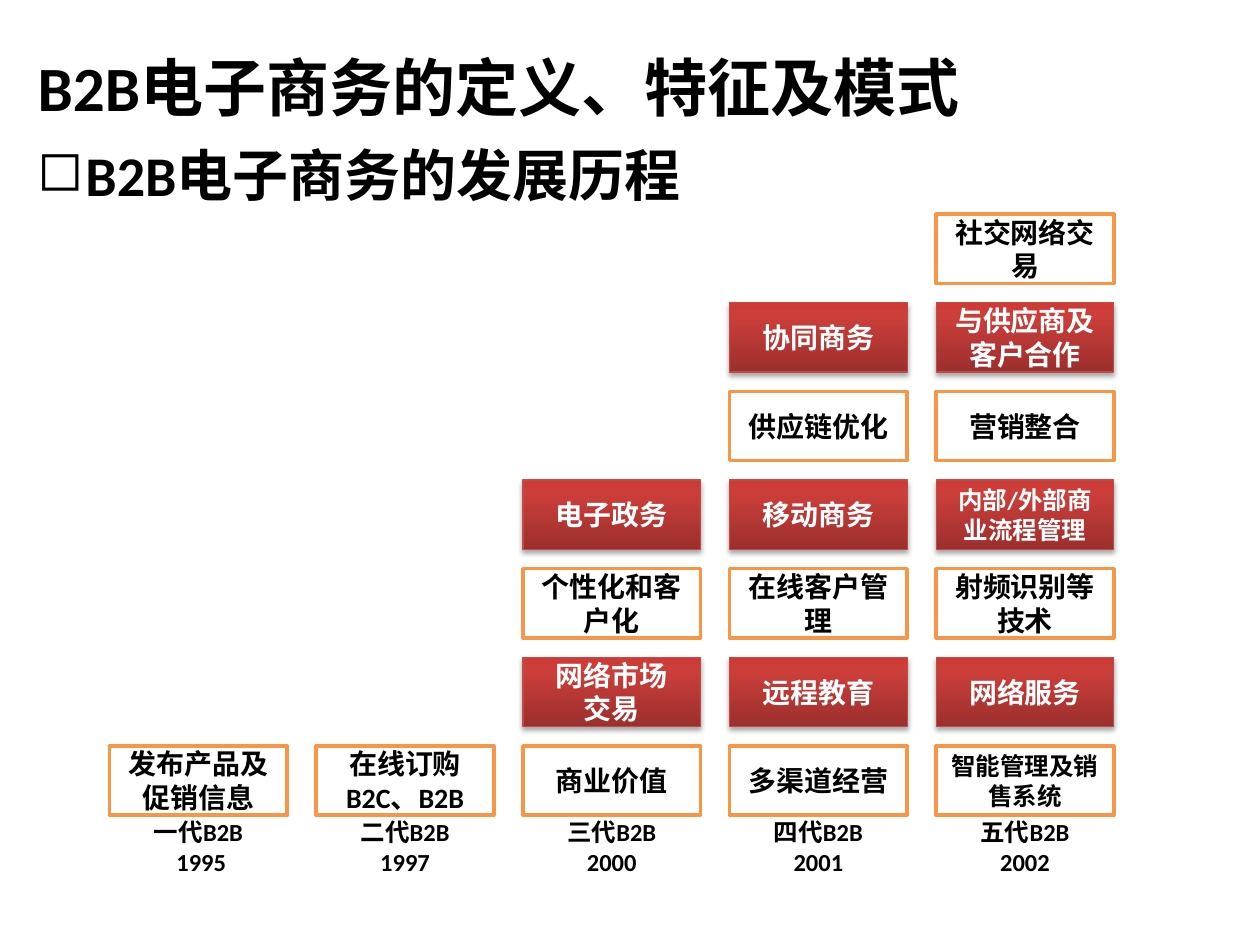
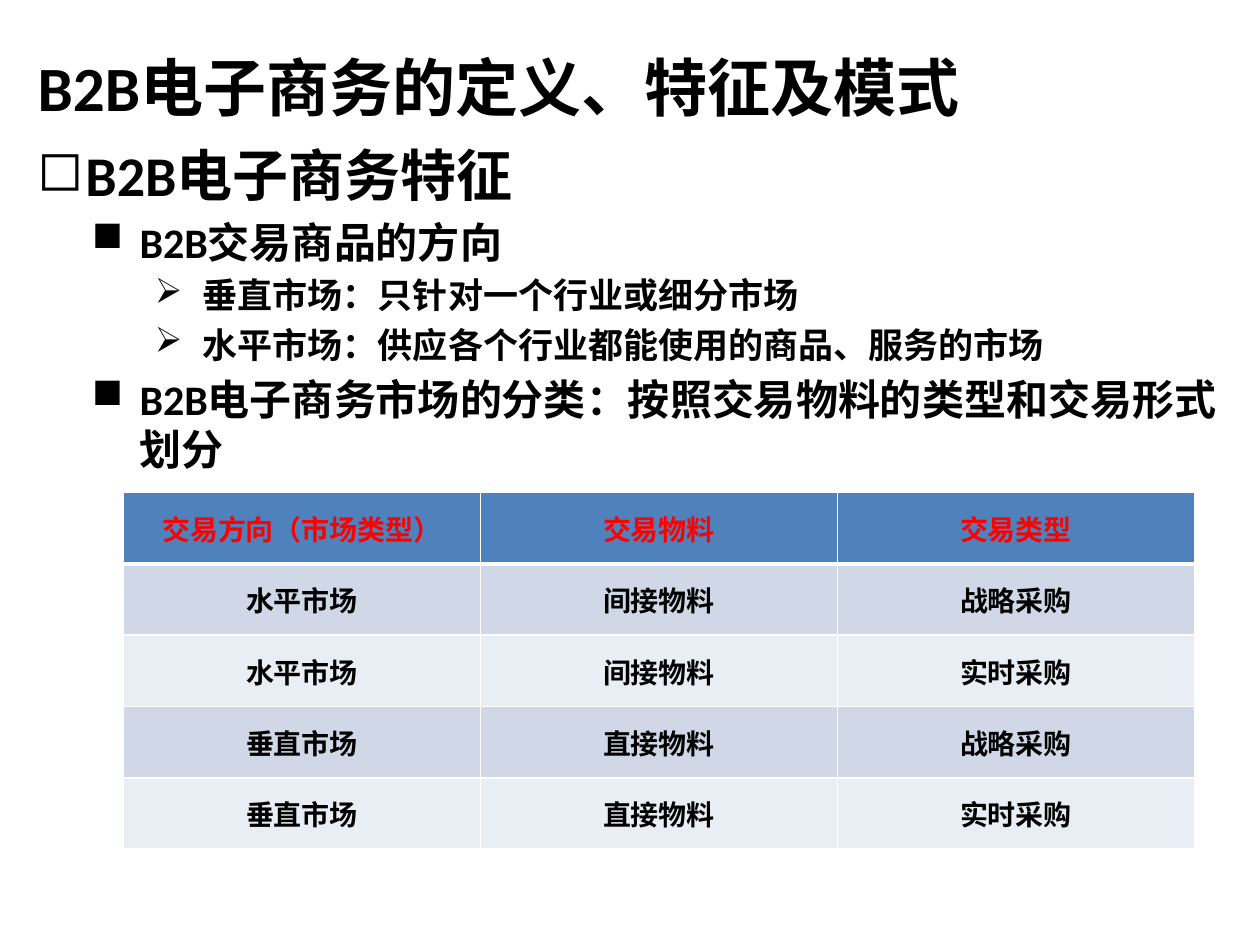
from pptx import Presentation
from pptx.dml.color import RGBColor
from pptx.enum import shapes, text
from pptx.oxml import parse_xml
from pptx.oxml.ns import nsdecls, qn
from pptx.util import Inches, Pt

# Content
TITLE = "B2B电子商务的定义、特征及模式"
HISTORY = [(1, "B2B电子商务的发展历程")]
FEATURES = [
    (1, "B2B电子商务特征"),
    (2, "B2B交易商品的方向"),
    (3, "垂直市场：只针对一个行业或细分市场"),
    (3, "水平市场：供应各个行业都能使用的商品、服务的市场"),
    (2, "B2B电子商务市场的分类：按照交易物料的类型和交易形式划分"),
]
# Each generation: its label lines, then its boxes from the bottom up
GENERATIONS = [
    (["一代B2B", " 1995"], ["发布产品及促销信息"]),
    (["二代B2B", "1997"], ["在线订购\nB2C、B2B"]),
    (["三代B2B", "2000"], ["商业价值", "网络市场\n交易", "个性化和客户化", "电子政务"]),
    (["四代B2B", "2001"], ["多渠道经营", "远程教育", "在线客户管理", "移动商务",
                         "供应链优化", "协同商务"]),
    (["五代B2B", "2002"], ["智能管理及销售系统", "网络服务", "射频识别等技术",
                         "内部/外部商业流程管理", "营销整合", "与供应商及客户合作",
                         "社交网络交易"]),
]
MARKETS = [
    ("交易方向（市场类型）", "交易物料", "交易类型"),
    ("水平市场", "间接物料", "战略采购"),
    ("水平市场", "间接物料", "实时采购"),
    ("垂直市场", "直接物料", "战略采购"),
    ("垂直市场", "直接物料", "实时采购"),
]

# Shared style
FONT = "Calibri"
BLACK, WHITE, RED = "000000", "FFFFFF", "FF0000"
ORANGE, BRICK = "F79646", "BF4C48"
HEADER, BANDS = "4F81BD", ("E9EDF4", "D0D8E8")
BRICK_STOPS = [(0, "9C2F2D"), (80, "CB3E3A"), (100, "CE3B37")]
# Outline level: size, indent in inches, bullet
LEVELS = {1: (32, 0.38, "◻"), 2: (24, 0.81, "■"), 3: (20, 1.31, "➢")}
HANGING = 0.38
MARGIN, CONTENT_WIDTH = 0.2, 9.61

# Staircase grid
FIRST_LEFT, COLUMN_STEP = 0.87, 1.64
BOTTOM_TOP, HIGHEST_TOP = 5.92, 1.7
ROW_STEP = (BOTTOM_TOP - HIGHEST_TOP) / 6
BOX_WIDTH, BOX_HEIGHT, LABEL_HEIGHT = 1.41, 0.55, 0.5
LONG_TEXT = 9


def color(value):
    return RGBColor.from_string(value)


def write(para, words, size, fill=BLACK):
    span = para.add_run()
    span.text = words
    span.font.name = FONT
    span.font.size = Pt(size)
    span.font.bold = True
    span.font.color.rgb = color(fill)


def write_centred(frame, lines, size, fill=BLACK):
    frame.word_wrap = True
    frame.vertical_anchor = text.MSO_ANCHOR.MIDDLE
    for index, line in enumerate(lines):
        para = frame.add_paragraph() if index else frame.paragraphs[0]
        para.alignment = text.PP_ALIGN.CENTER
        write(para, line, size, fill)


def add_text_box(page, top, height):
    box = page.shapes.add_textbox(Inches(MARGIN), Inches(top),
                                  Inches(CONTENT_WIDTH), Inches(height))
    box.text_frame.word_wrap = True
    return box.text_frame


def add_page(deck, outline, outline_height):
    page = deck.slides.add_slide(deck.slide_layouts[6])
    # Title
    frame = add_text_box(page, 0.3, 0.77)
    frame.vertical_anchor = text.MSO_ANCHOR.MIDDLE
    write(frame.paragraphs[0], TITLE, 36)
    # Bulleted outline
    frame = add_text_box(page, 1.07, outline_height)
    for index, (level, words) in enumerate(outline):
        para = frame.add_paragraph() if index else frame.paragraphs[0]
        size, indent, bullet = LEVELS[level]
        para.level = level - 1
        props = para._p.get_or_add_pPr()
        props.set("marL", str(Inches(indent)))
        props.set("indent", str(Inches(-HANGING)))
        props.append(parse_xml(f'<a:spcBef {nsdecls("a")}><a:spcPct val="20000"/></a:spcBef>'))
        props.append(parse_xml(f'<a:buChar {nsdecls("a")} char="{bullet}"/>'))
        write(para, words, size)
    return page


def paint_brick(box):
    """Vertical red gradient with a soft shadow below."""
    stops = "".join(f'<a:gs pos="{place * 1000}"><a:srgbClr val="{value}"/></a:gs>'
                    for place, value in BRICK_STOPS)
    box.fill.gradient()
    gradient = box._element.spPr.find(qn("a:gradFill"))
    gradient.getparent().replace(gradient, parse_xml(
        f'<a:gradFill {nsdecls("a")} rotWithShape="1"><a:gsLst>{stops}</a:gsLst>'
        '<a:lin ang="16200000" scaled="0"/></a:gradFill>'))
    box._element.spPr.find(qn("a:effectLst")).append(parse_xml(
        f'<a:outerShdw {nsdecls("a")} blurRad="{Pt(3.1)}" dist="{Pt(1.8)}" dir="5400000"'
        ' rotWithShape="0"><a:srgbClr val="000000"><a:alpha val="35000"/></a:srgbClr>'
        '</a:outerShdw>'))


def add_step(group, left, level, words):
    box = group.shapes.add_shape(
        shapes.MSO_SHAPE.RECTANGLE, Inches(left), Inches(BOTTOM_TOP - level * ROW_STEP),
        Inches(BOX_WIDTH), Inches(BOX_HEIGHT))
    box.shadow.inherit = False
    brick = level % 2 == 1
    if brick:
        paint_brick(box)
    else:
        box.fill.solid()
        box.fill.fore_color.rgb = color(WHITE)
    box.line.color.rgb = color(BRICK if brick else ORANGE)
    box.line.width = Pt(0.75 if brick else 2)
    lines = words.split("\n")
    size = 14 if len(lines[0]) >= LONG_TEXT and level in (0, 3) and left > 7 else 16
    write_centred(box.text_frame, lines, size, WHITE if brick else BLACK)


def add_staircase(page):
    group = page.shapes.add_group_shape()
    for column, (label, steps) in enumerate(GENERATIONS):
        left = FIRST_LEFT + column * COLUMN_STEP
        for level, words in enumerate(steps):
            add_step(group, left, level, words)
        caption = group.shapes.add_textbox(
            Inches(left), Inches(BOTTOM_TOP + BOX_HEIGHT),
            Inches(BOX_WIDTH), Inches(LABEL_HEIGHT))
        write_centred(caption.text_frame, label, 14)


def add_borders(cell, top, bottom):
    props = cell._tc.get_or_add_tcPr()
    for side, width in (("L", 1), ("R", 1), ("T", top), ("B", bottom)):
        props.append(parse_xml(
            f'<a:ln{side} {nsdecls("a")} w="{Pt(width)}"><a:solidFill>'
            f'<a:srgbClr val="{WHITE}"/></a:solidFill></a:ln{side}>'))


def add_market_table(page):
    table = page.shapes.add_table(len(MARKETS), len(MARKETS[0]), Inches(0.98), Inches(3.91),
                                  Inches(8.5), Inches(2.83)).table
    for row, values in enumerate(MARKETS):
        for column, words in enumerate(values):
            cell = table.cell(row, column)
            add_borders(cell, 3 if row == 1 else 1, 3 if row == 0 else 1)
            cell.fill.solid()
            cell.fill.fore_color.rgb = color(BANDS[row % 2] if row else HEADER)
            cell.vertical_anchor = text.MSO_ANCHOR.MIDDLE
            para = cell.text_frame.paragraphs[0]
            para.alignment = text.PP_ALIGN.CENTER
            write(para, words, 16, BLACK if row else RED)


def main():
    deck = Presentation()
    deck.slide_width, deck.slide_height = Inches(10), Inches(7.5)
    add_staircase(add_page(deck, HISTORY, 0.63))
    add_market_table(add_page(deck, FEATURES, 6.3))
    deck.save("out.pptx")


if __name__ == "__main__":
    main()
